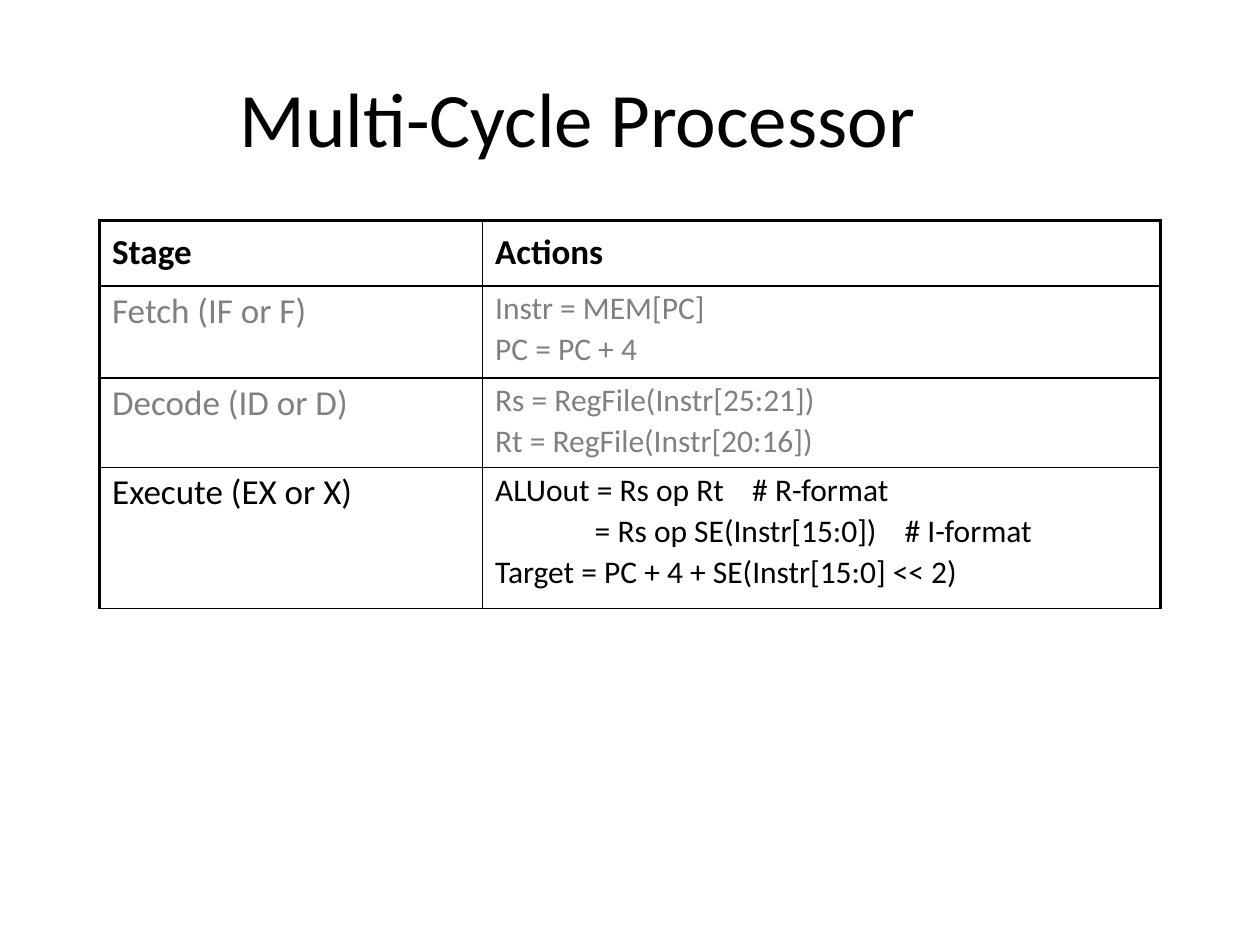
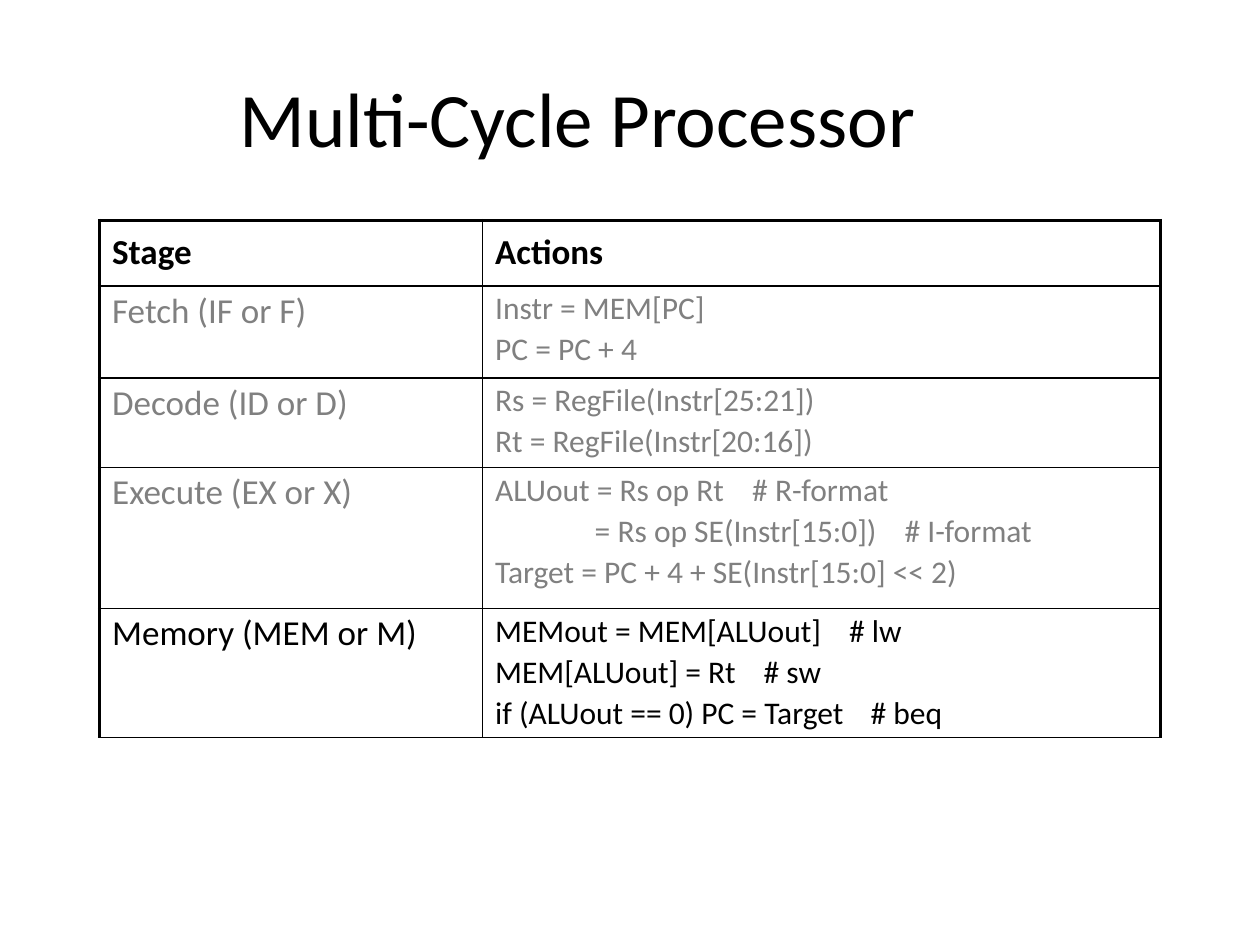
from pptx import Presentation
from pptx.dml.color import RGBColor
from pptx.enum.text import MSO_ANCHOR, PP_ALIGN
from pptx.oxml.ns import qn
from pptx.util import Inches, Pt
from lxml import etree

MIDDLE, TOP = MSO_ANCHOR.MIDDLE, MSO_ANCHOR.TOP
CENTER, LEFT = PP_ALIGN.CENTER, PP_ALIGN.LEFT

FONT = "Calibri"
BLACK, GRAY = "000000", "808080"
THIN, THICK = 1, 2.25
STAGE_SIZE, ACTION_SIZE = 20, 18
TITLE = "Multi-Cycle Processor"
COLUMN_WIDTHS = (3.04, 5.38)
HEADER_HEIGHT = 0.52

# Each stage: name, row height, action lines as (text, tab stops in inches)
STAGES = [
    ("Fetch (IF or F)", 0.73, [("Instr = MEM[PC]", ()), ("PC = PC + 4", ())]),
    ("Decode (ID or D)", 0.71, [("Rs = RegFile(Instr[25:21])", ()),
                                ("Rt = RegFile(Instr[20:16])", ())]),
    ("Execute (EX or X)", 1.12, [("ALUout = Rs op Rt\t# R-format", (2.04,)),
                                 ("\t= Rs op SE(Instr[15:0])\t# I-format", (0.79, 3.25)),
                                 ("Target = PC + 4 + SE(Instr[15:0] << 2)", ())]),
    ("Memory (MEM or M)", 1.02, [("MEMout = MEM[ALUout]\t# lw", (2.81,)),
                                 ("MEM[ALUout] = Rt\t# sw", (2.13,)),
                                 ("if (ALUout == 0) PC = Target\t# beq", (2.98,))]),
]


def rgb(color):
    return RGBColor.from_string(color)


def add_tab_stops(paragraph, stops):
    tab_list = etree.SubElement(paragraph._p.get_or_add_pPr(), qn("a:tabLst"))
    for stop in stops:
        etree.SubElement(tab_list, qn("a:tab"), pos=str(Inches(stop)), algn="l")


def write_text(frame, lines, size, color=BLACK, bold=False, align=LEFT, spacing=1.0):
    """Fill a text frame with (text, tab stops) lines in one format."""
    for index, (text, stops) in enumerate(lines):
        paragraph = frame.paragraphs[0] if index == 0 else frame.add_paragraph()
        if stops:
            add_tab_stops(paragraph, stops)
        paragraph.alignment = align
        paragraph.line_spacing = spacing
        paragraph.space_before = Pt(0.2 * size if index else 0)
        run = paragraph.add_run()
        run.text = text
        run.font.name = FONT
        run.font.size = Pt(size)
        run.font.bold = bold
        run.font.color.rgb = rgb(color)


def set_borders(cell, **widths):
    properties = cell._tc.get_or_add_tcPr()
    for side in "LRTB":
        line = etree.SubElement(properties, qn(f"a:ln{side}"), w=str(Pt(widths[side])))
        fill = etree.SubElement(line, qn("a:solidFill"))
        etree.SubElement(fill, qn("a:srgbClr"), val=BLACK)


def add_title(slide):
    title = slide.shapes.title
    title.left, title.top = Inches(0.5), Inches(0.3)
    title.width, title.height = Inches(8.17), Inches(1.25)
    title.text_frame.vertical_anchor = MIDDLE
    write_text(title.text_frame, [(TITLE, ())], 44, align=CENTER)


def fill_row(table, row, stage, actions, action_size, anchor=TOP, **style):
    """Write a stage and its actions; the outer frame is thick except below."""
    top = THICK if row == 0 else THIN
    contents = (([(stage, ())], STAGE_SIZE), (actions, action_size))
    for column, (lines, size) in enumerate(contents):
        cell = table.cell(row, column)
        set_borders(cell, L=THIN if column else THICK, R=THICK if column else THIN,
                    T=top, B=THIN)
        cell.fill.background()
        cell.vertical_anchor = anchor
        cell.margin_left = cell.margin_right = Inches(0.1)
        cell.margin_top = cell.margin_bottom = Inches(0.05)
        write_text(cell.text_frame, lines, size, spacing=0.9, **style)


def add_stage_table(slide, stages):
    """List the stages so far, with the newest in black and the others in gray."""
    heights = [HEADER_HEIGHT] + [height for _, height, _ in stages]
    table = slide.shapes.add_table(
        len(heights), len(COLUMN_WIDTHS), Inches(0.79), Inches(1.75),
        Inches(sum(COLUMN_WIDTHS)), Inches(sum(heights))).table
    table.first_row = table.horz_banding = False
    for column, width in zip(table.columns, COLUMN_WIDTHS):
        column.width = Inches(width)
    for row, height in zip(table.rows, heights):
        row.height = Inches(height)

    fill_row(table, 0, "Stage", [("Actions", ())], STAGE_SIZE, anchor=MIDDLE, bold=True)
    for row, (stage, _, actions) in enumerate(stages, start=1):
        color = BLACK if row == len(stages) else GRAY
        fill_row(table, row, stage, actions, ACTION_SIZE, color=color)


def main():
    deck = Presentation()
    deck.slide_width, deck.slide_height = Inches(10), Inches(7.5)
    title_only = deck.slide_layouts[5]
    # One slide up to Execute, one up to Memory
    for stage_count in (3, 4):
        slide = deck.slides.add_slide(title_only)
        add_title(slide)
        add_stage_table(slide, STAGES[:stage_count])
    deck.save("out.pptx")


if __name__ == "__main__":
    main()
